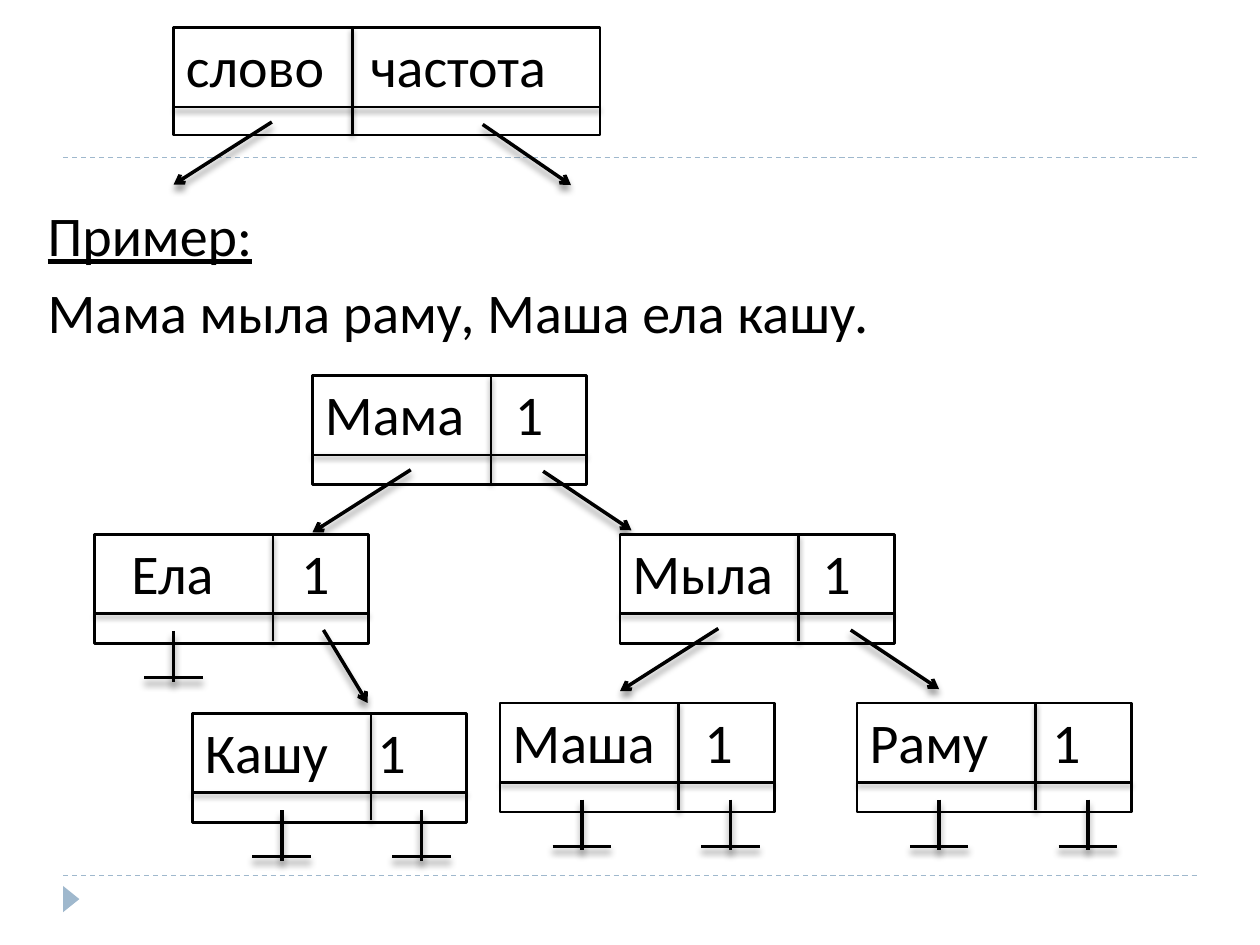
from dataclasses import dataclass

from lxml import etree
from pptx import Presentation
from pptx.dml.color import RGBColor
from pptx.enum.dml import MSO_LINE
from pptx.enum.shapes import MSO_CONNECTOR, MSO_SHAPE
from pptx.oxml.ns import qn
from pptx.util import Cm, Pt

STRAIGHT = MSO_CONNECTOR.STRAIGHT
RECTANGLE = MSO_SHAPE.RECTANGLE
TRIANGLE = MSO_SHAPE.ISOSCELES_TRIANGLE
DASH = MSO_LINE.DASH


@dataclass(frozen=True)
class Theme:
    ink: RGBColor = RGBColor(0, 0, 0)
    paper: RGBColor = RGBColor(255, 255, 255)
    accent: RGBColor = RGBColor(0x9F, 0xB8, 0xCD)
    font: str = "Calibri"
    size: float = 32
    rule: float = 0.75
    frame: float = 1.5
    link: float = 2


theme = Theme()
deck = Presentation()
deck.slide_width, deck.slide_height = Cm(25.4), Cm(19.05)
page = deck.slides.add_slide(deck.slide_layouts[6])


def write(text, left, top, width, height, inset=0.25, before=5.8, tab=None, underlined=()):
    box = page.shapes.add_textbox(Cm(left), Cm(top), Cm(width), Cm(height))
    frame = box.text_frame
    frame.word_wrap = True
    frame.margin_left = Cm(inset)
    for index, line in enumerate(text.split("\n")):
        para = frame.add_paragraph() if index else frame.paragraphs[0]
        para.space_before = Pt(before)
        span = para.add_run()
        span.text = line
        span.font.name = theme.font
        span.font.size = Pt(theme.size)
        span.font.color.rgb = theme.ink
        span.font.underline = index in underlined
        if tab:
            stops = etree.SubElement(para._p.get_or_add_pPr(), qn("a:tabLst"))
            etree.SubElement(stops, qn("a:tab"), pos=str(Cm(tab)), algn="l")


def draw_line(x1, y1, x2, y2, weight, color=theme.ink, dash=None, arrow=False, shadow=None):
    line = page.shapes.add_connector(STRAIGHT, Cm(x1), Cm(y1), Cm(x2), Cm(y2))
    line.line.width = Pt(weight)
    line.line.color.rgb = color
    if dash:
        line.line.dash_style = dash
    if arrow:
        etree.SubElement(line.line._get_or_add_ln(), qn("a:tailEnd"), type="arrow")
    effects = etree.SubElement(line._element.spPr, qn("a:effectLst"))
    if shadow:
        blur, distance = shadow
        outer = etree.SubElement(effects, qn("a:outerShdw"), blurRad=str(Pt(blur)),
                                 dist=str(Pt(distance)), dir="5400000", rotWithShape="0")
        tint = etree.SubElement(outer, qn("a:srgbClr"), val=str(theme.ink))
        etree.SubElement(tint, qn("a:alpha"), val="40000")


for y in (17.65, 3.18):
    draw_line(1.27, y, 24.13, y, theme.rule, color=theme.accent, dash=DASH)

marker = page.shapes.add_shape(TRIANGLE, Cm(1.17), Cm(17.96), Cm(0.53), Cm(0.33))
marker.rotation = 90
marker.shadow.inherit = False
marker.fill.solid()
marker.fill.fore_color.rgb = theme.accent
marker.line.fill.background()

write("Пример:\nМама мыла раму, Маша ела кашу.", 0.71, 3.91, 22.81, 3.61,
      before=6, underlined=(0,))

frame_shadow, link_shadow = (3, 2), (4, 3.4)
divider, shelf, divider_height = 3.6, 1.6, 2.16
node_width, node_height = 5.53, 2.2
left_arrow = (1.98, 1.9, 0, 3.16)
right_arrow = (4.65, 1.93, 6.43, 3.12)
header_arrow = (6.23, 1.95, 8.01, 3.17)
steep_arrow = (4.62, 1.93, 5.51, 3.4)
stem_top, stem_bottom, foot, foot_half = 1.95, 2.97, 2.89, 0.59

nodes = [
    ("слово\tчастота", 3.5, 0.56, 8.6, 2.16, 0.25, 3.72, (header_arrow, left_arrow), ()),
    ("Мама\t1", 6.3, 7.57, node_width, node_height, 0.25, 3.83, (right_arrow, left_arrow), ()),
    ("Ела\t1", 1.9, 10.77, node_width, node_height, 0.75, 3.42, (steep_arrow,), (1.6,)),
    ("Мыла\t1", 12.5, 10.77, node_width, node_height, 0.25, 3.83, (right_arrow, left_arrow), ()),
    ("Раму\t1", 17.28, 14.17, node_width, node_height, 0.25, 3.68, (), (1.65, 4.65)),
    ("Маша\t1", 10.08, 14.17, node_width, node_height, 0.25, 3.87, (), (1.65, 4.65)),
    ("Кашу\t1", 3.88, 14.38, node_width, node_height, 0.25, 3.48, (), (1.8, 4.62)),
]

for text, left, top, width, height, inset, tab, arrows, stubs in nodes:
    box = page.shapes.add_shape(RECTANGLE, Cm(left), Cm(top), Cm(width), Cm(height))
    box.shadow.inherit = False
    box.fill.solid()
    box.fill.fore_color.rgb = theme.paper
    box.line.color.rgb = theme.ink
    box.line.width = Pt(theme.frame)
    write(text, left, top - 0.04, width, 1.65, inset=inset, tab=tab)
    draw_line(left + divider, top, left + divider, top + divider_height,
              theme.frame, shadow=frame_shadow)
    draw_line(left, top + shelf, left + width, top + shelf, theme.frame, shadow=frame_shadow)
    for x1, y1, x2, y2 in arrows:
        draw_line(left + x1, top + y1, left + x2, top + y2,
                  theme.link, arrow=True, shadow=link_shadow)
    for offset in stubs:
        x = left + offset
        draw_line(x, top + stem_top, x, top + stem_bottom, theme.link, shadow=link_shadow)
        draw_line(x - foot_half, top + foot, x + foot_half, top + foot,
                  theme.link, shadow=link_shadow)

deck.save("out.pptx")
